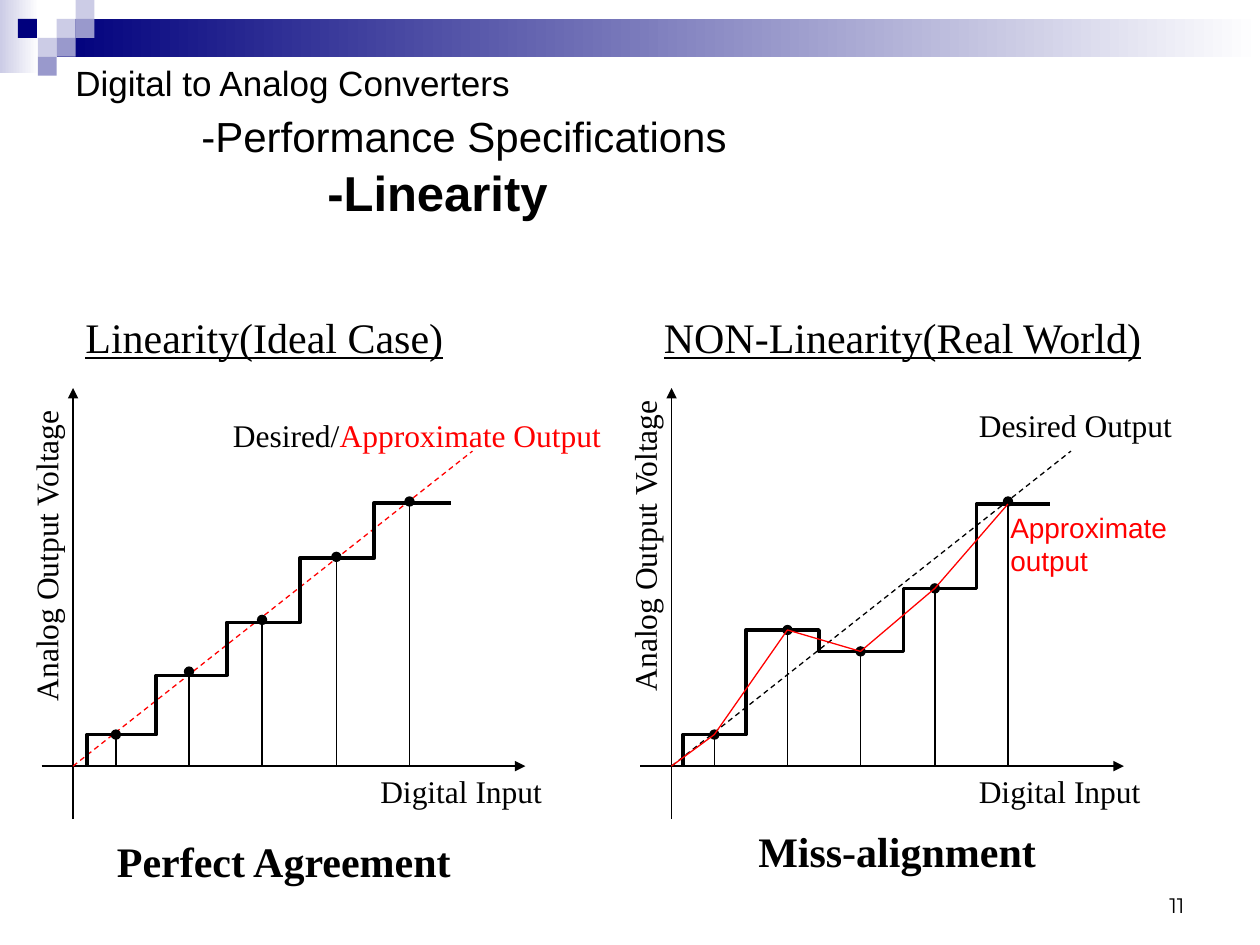
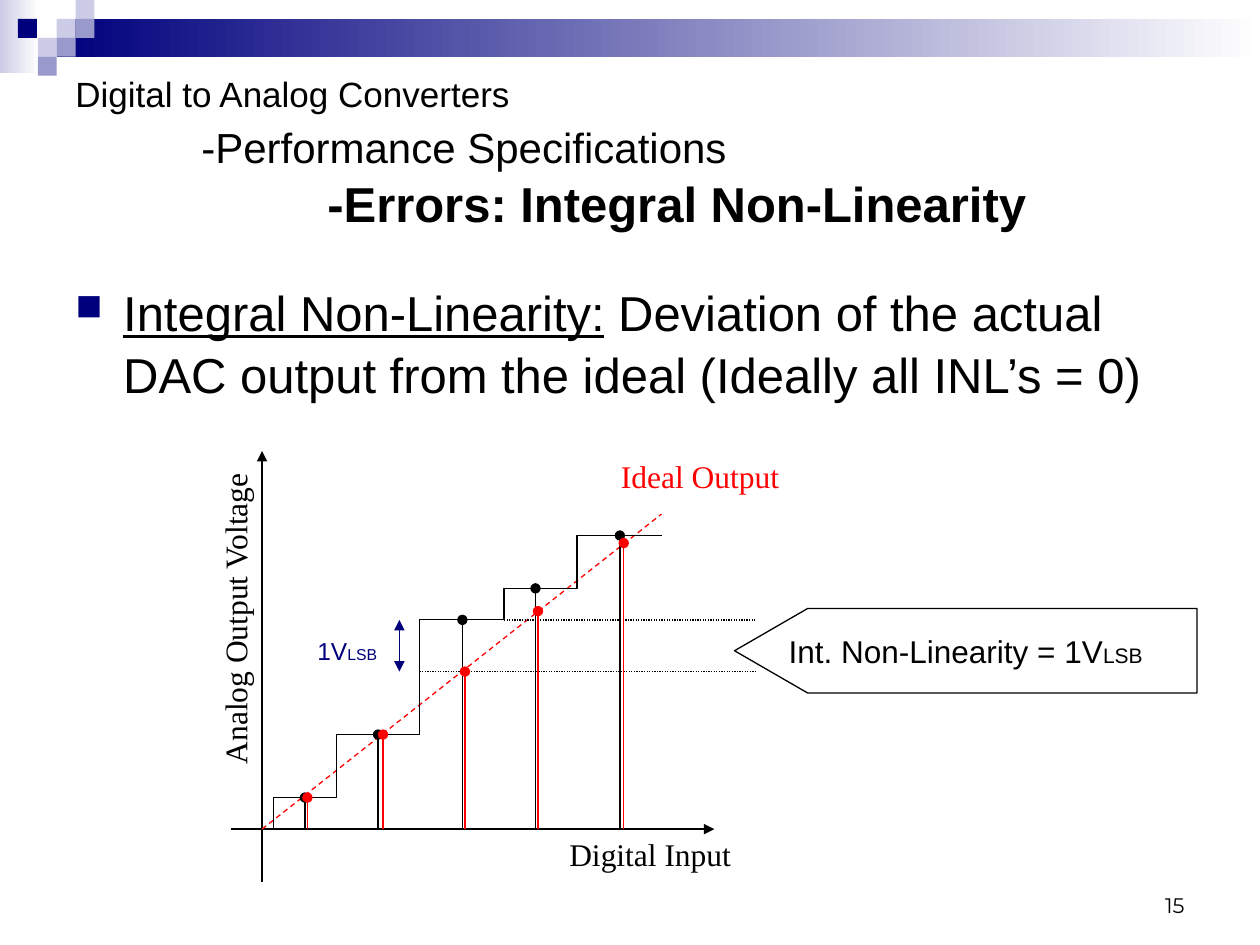
from dataclasses import dataclass

from lxml.etree import SubElement
from pptx import Presentation
from pptx.dml.color import RGBColor
from pptx.enum.dml import MSO_LINE
from pptx.enum.shapes import MSO_CONNECTOR, MSO_SHAPE
from pptx.enum.text import MSO_ANCHOR, PP_ALIGN
from pptx.oxml.ns import qn
from pptx.util import Inches, Pt


@dataclass(frozen=True)
class Theme:
    black: str = "000000"
    white: str = "FFFFFF"
    red: str = "FF0000"
    navy: str = "00007D"
    lilac: str = "CCCCE6"
    violet: str = "9999CC"
    sans: str = "Arial"
    serif: str = "Times New Roman"
    number_font: str = "Montserrat"
    tiny: int = 9
    small: int = 12
    note: int = 14
    remark: int = 16
    label: int = 18
    lead: int = 20
    heading: int = 24
    title: int = 28
    thin: float = 0.75
    thick: float = 2


THEME = Theme()
LABEL = {"name": THEME.serif, "size": THEME.label}
HEADING = {"name": THEME.serif, "size": THEME.heading}
TILE = 0.15


def style_span(span, style):
    style = {"name": THEME.sans, "color": THEME.black, **style}
    span.font.color.rgb = RGBColor.from_string(style.pop("color"))
    style["size"] = Pt(style["size"])
    for key, value in style.items():
        setattr(span.font, key, value)


def fill_para(para, spans, **layout):
    for key, value in layout.items():
        setattr(para, key, value)
    for text, style in spans:
        span = para.add_run()
        span.text = text
        style_span(span, style)


def add_text(page, left, top, width, height, spans, anchor=MSO_ANCHOR.TOP, **layout):
    box = page.shapes.add_textbox(*map(Inches, (left, top, width, height)))
    box.text_frame.word_wrap = True
    box.text_frame.vertical_anchor = anchor
    fill_para(box.text_frame.paragraphs[0], spans, **layout)
    return box


def indent_para(para, margin, first=0):
    properties = para._p.get_or_add_pPr()
    properties.set("marL", str(Inches(margin)))
    properties.set("indent", str(Inches(first)))
    return properties


def add_line(page, start, end, color=THEME.black, dash=None, head=None, tail=None):
    line = page.shapes.add_connector(
        MSO_CONNECTOR.STRAIGHT, *map(Inches, (*start, *end)))
    line.line.color.rgb = RGBColor.from_string(color)
    line.line.width = Pt(THEME.thin)
    if dash:
        line.line.dash_style = dash
    outline = line.line._get_or_add_ln()
    for tag, kind in (("a:headEnd", head), ("a:tailEnd", tail)):
        if kind:
            SubElement(outline, qn(tag), type=kind)
    SubElement(line._element.spPr, qn("a:effectLst"))


def add_outline(page, points, color=THEME.black, width=THEME.thin, close=False):
    points = [(Inches(x), Inches(y)) for x, y in points]
    builder = page.shapes.build_freeform(*points[0], scale=1.0)
    builder.add_line_segments(points[1:], close=close)
    shape = builder.convert_to_shape()
    shape.shadow.inherit = False
    shape.fill.background()
    shape.line.color.rgb = RGBColor.from_string(color)
    shape.line.width = Pt(width)
    return shape


def add_block(page, left, top, width, height, *colors):
    block = page.shapes.add_shape(
        MSO_SHAPE.RECTANGLE, *map(Inches, (left, top, width, height)))
    block.shadow.inherit = False
    block.line.fill.background()
    if len(colors) == 1:
        block.fill.solid()
        block.fill.fore_color.rgb = RGBColor.from_string(colors[0])
        return
    block.fill.gradient()
    block.fill.gradient_angle = 0
    for stop, color in zip(block.fill.gradient_stops, colors):
        stop.color.rgb = RGBColor.from_string(color)


def draw_band(page):
    add_block(page, 0, 0, 0.31, 0.58, THEME.lilac, THEME.white)
    add_block(page, 3 * TILE, TILE, 9.55, 2 * TILE, THEME.navy, THEME.white)
    for column, row, color in (
        (3, 1, THEME.lilac), (4, 0, THEME.lilac), (4, 1, THEME.violet),
        (2, 2, THEME.lilac), (0.95, 1, THEME.navy), (3, 2, THEME.violet),
        (2, 3, THEME.violet),
    ):
        add_block(page, column * TILE, row * TILE, TILE, TILE, color)


def draw_title(page, top, width, topic):
    first = [("Digital to Analog Converters", {"size": THEME.lead})]
    box = add_text(page, 0.5, top, width, 1.08, first, MSO_ANCHOR.MIDDLE)
    for margin, before, text, style in (
        (1, 4, "-Performance Specifications", {"size": THEME.heading}),
        (2, 1, topic, {"size": THEME.title, "bold": True}),
    ):
        para = box.text_frame.add_paragraph()
        indent_para(para, margin)
        fill_para(para, [(text, style)], space_before=Pt(before))


def start_page(deck, number, title_top, title_width, topic):
    page = deck.slides.add_slide(deck.slide_layouts[6])
    draw_band(page)
    add_text(page, 7.17, 6.83, 2.33, 0.5,
             [(number, {"name": THEME.number_font, "size": THEME.small})],
             MSO_ANCHOR.BOTTOM, alignment=PP_ALIGN.RIGHT)
    draw_title(page, title_top, title_width, topic)
    return page


@dataclass
class Plot:
    page: object
    left: float
    base: float

    def spot(self, x, height):
        return self.left + x, self.base - height

    def axes(self, label_middle):
        self.line((0, -0.42), (0, 3), tail="triangle")
        self.line((-0.25, 0), (3.59, 0), tail="triangle")
        self.text(2.34, 0, 2, 0.4, [("Digital Input", LABEL)])
        box = self.text(-1.59, label_middle + 0.2, 2.75, 0.4,
                        [("Analog Output Voltage", LABEL)])
        box.rotation = 270

    def line(self, start, end, **look):
        add_line(self.page, self.spot(*start), self.spot(*end), **look)

    def text(self, x, height_above, width, height, spans):
        return add_text(self.page, *self.spot(x, height_above), width, height, spans)

    def desired_line(self, color):
        self.line((0, 0), (3.17, 2.5), color=color, dash=MSO_LINE.DASH)

    def stems(self, places, heights, color=THEME.black):
        for x, height in zip(places, heights):
            self.line((x, 0), (x, height), color=color, tail="oval")

    def curve(self, points, **look):
        add_outline(self.page, [self.spot(*point) for point in points], **look)

    def stairs(self, edges, levels, width):
        points = [(edges[0], 0)]
        for start, end, level in zip(edges, edges[1:], levels):
            points += [(start, level), (end, level)]
        self.curve(points, width=width)


def draw_ideal_case(page, left, base):
    plot = Plot(page, left, base)
    plot.text(0, 3.66, 3.08, 0.5,
              [("Linearity(Ideal Case)", {**HEADING, "underline": True})])
    plot.axes(1.79)
    plot.desired_line(THEME.red)
    plot.stems((0.34, 0.92, 1.5, 2.09, 2.67), (0.25, 0.75, 1.16, 1.66, 2.1))
    plot.stairs((0.11, 0.66, 1.22, 1.8, 2.39, 3),
                (0.25, 0.72, 1.14, 1.65, 2.09), THEME.thick)
    plot.text(0.25, -0.5, 3.08, 0.5,
              [("Perfect Agreement", {**HEADING, "bold": True})])
    plot.text(1.17, 2.83, 3.42, 0.4,
              [("Desired/", LABEL),
               ("Approximate Output", {**LABEL, "color": THEME.red})])


def draw_real_world(page, left, base):
    plot = Plot(page, left, base)
    places = (0.34, 0.92, 1.5, 2.09, 2.67)
    levels = (0.25, 1.08, 0.91, 1.41, 2.08)
    plot.text(-0.16, 3.66, 4.17, 0.5,
              [("NON-Linearity(Real World)", {**HEADING, "underline": True})])
    plot.axes(1.87)
    plot.desired_line(THEME.black)
    plot.stems(places, (*levels[:-1], 2.1))
    plot.stairs((0.09, 0.59, 1.17, 1.84, 2.42, 3), levels, THEME.thick)
    plot.text(2.34, 2.91, 1.75, 0.4, [("Desired Output", LABEL)])
    plot.text(0.59, -0.42, 3.5, 0.5,
              [("Miss-alignment", {**HEADING, "bold": True})])
    plot.curve([(0, 0), *zip(places, levels)], color=THEME.red)
    plot.text(2.59, 2.08, 1.83, 0.64,
              [("Approximate output", {"size": THEME.remark, "color": THEME.red})])


def draw_definition(page, left, top):
    size = {"size": THEME.title}
    box = add_text(page, left, top, 9, 1.17, [])
    para = box.text_frame.paragraphs[0]
    para.line_spacing = 1.05
    properties = indent_para(para, 0.38, -0.38)
    color = SubElement(properties, qn("a:buClr"))
    SubElement(color, qn("a:srgbClr"), val=THEME.navy)
    SubElement(properties, qn("a:buSzPct"), val="75000")
    SubElement(properties, qn("a:buChar"), char="■")
    fill_para(para, [
        ("Integral Non-Linearity:", {**size, "underline": True}),
        (" Deviation of the actual DAC output from the ideal "
         "(Ideally all INL’s = 0)", size),
    ])


def draw_callout(page, left, top, width, height):
    right, bottom, neck = left + width, top + height, left + 0.58
    callout = add_outline(page, [
        (right, bottom), (neck, bottom), (left, top + height / 2),
        (neck, top), (right, top)], close=True)
    callout.text_frame.word_wrap = False
    callout.text_frame.vertical_anchor = MSO_ANCHOR.MIDDLE
    fill_para(callout.text_frame.paragraphs[0],
              [("Int. Non-Linearity = 1V", {"size": THEME.label}),
               ("LSB", {"size": THEME.small})], alignment=PP_ALIGN.CENTER)


def draw_integral_error(page, left, base):
    plot = Plot(page, left, base)
    levels = (0.25, 0.75, 1.66, 1.91, 2.33)
    actual, ideal = 1.66, 1.25
    plot.axes(1.79)
    plot.desired_line(THEME.red)
    plot.stems((0.34, 0.92, 1.59, 2.17, 2.84), levels)
    plot.text(2.75, 3, 2.08, 0.4,
              [("Ideal Output", {**LABEL, "color": THEME.red})])
    plot.stairs((0.09, 0.59, 1.25, 1.92, 2.5, 3.17), levels, THEME.thin)
    plot.line((1.09, ideal), (1.09, actual), color=THEME.navy,
              head="triangle", tail="triangle")
    plot.text(0.34, 1.58, 0.83, 0.34,
              [("1V", {"size": THEME.note, "color": THEME.navy}),
               ("LSB", {"size": THEME.tiny, "color": THEME.navy})])
    for x, height in ((1.92, actual), (1.25, ideal)):
        plot.line((x, height), (3.92, height), dash=MSO_LINE.ROUND_DOT)
    plot.stems((0.36, 0.96, 1.61, 2.19, 2.87),
               (0.25, 0.75, ideal, 1.73, 2.27), THEME.red)


def main():
    deck = Presentation()
    deck.slide_width, deck.slide_height = Inches(10), Inches(7.5)

    page = start_page(deck, "11", 0.58, 7.85, "-Linearity")
    draw_ideal_case(page, 0.58, 6.08)
    draw_real_world(page, 5.33, 6.08)

    page = start_page(deck, "15", 0.67, 9, "-Errors: Integral Non-Linearity")
    draw_definition(page, 0.5, 2.17)
    draw_integral_error(page, 2.08, 6.58)
    draw_callout(page, 5.83, 4.83, 3.67, 0.67)

    deck.save("out.pptx")


if __name__ == "__main__":
    main()
